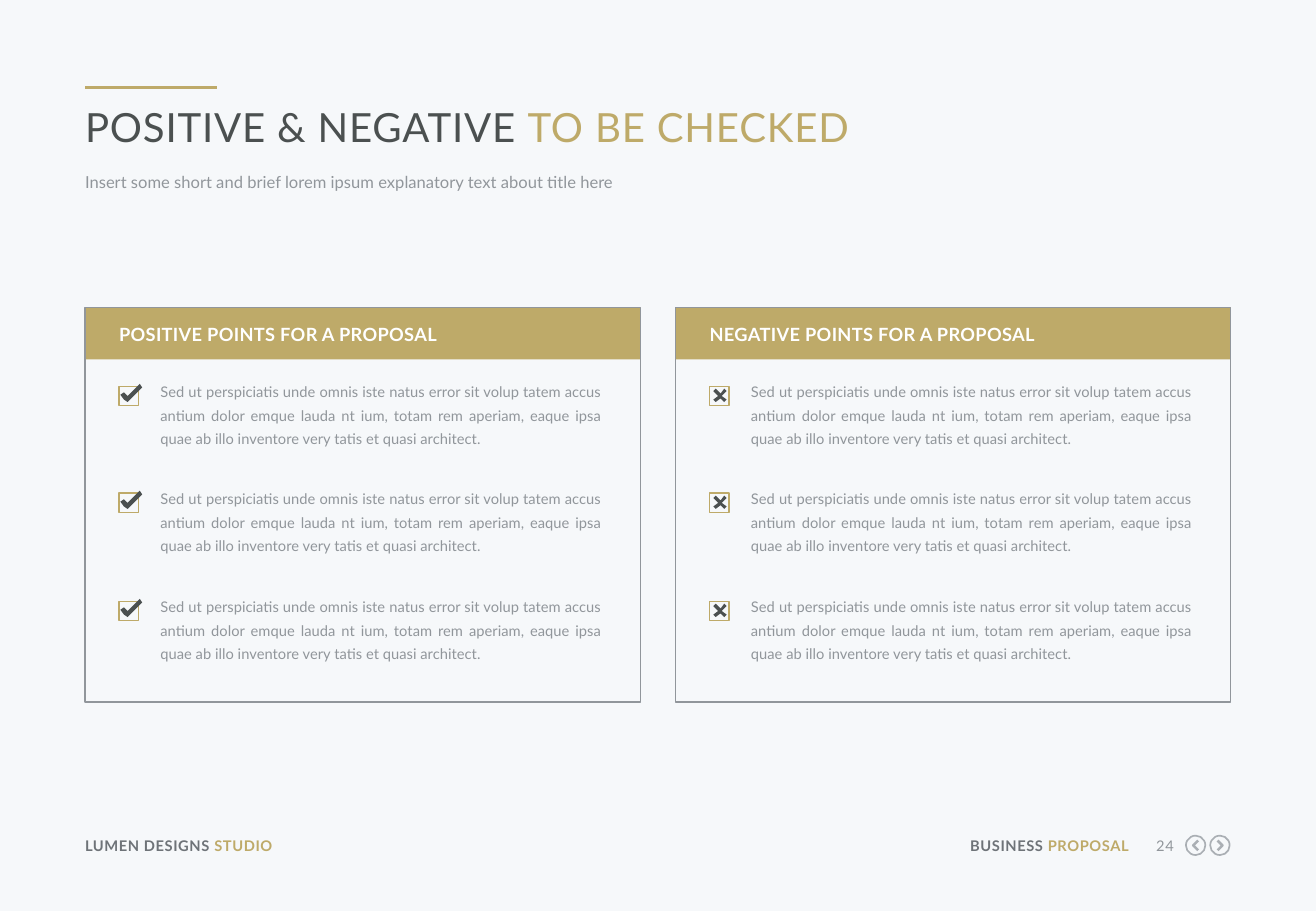
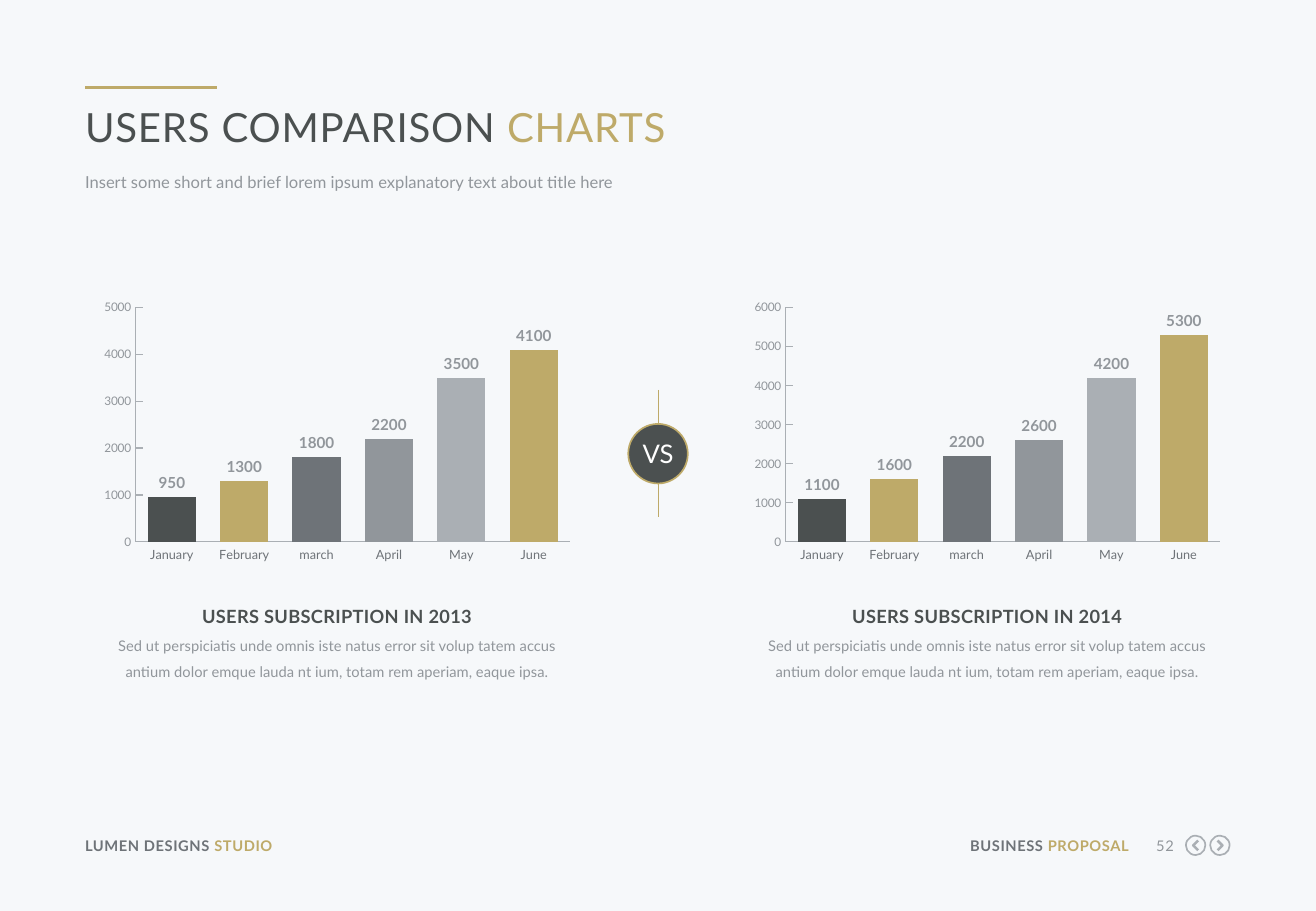
from lxml import etree
from pptx import Presentation
from pptx.chart.data import CategoryChartData
from pptx.dml.color import RGBColor
from pptx.enum.chart import XL_CHART_TYPE, XL_LABEL_POSITION, XL_TICK_MARK
from pptx.enum.shapes import MSO_CONNECTOR, MSO_SHAPE
from pptx.enum.text import MSO_ANCHOR, PP_ALIGN
from pptx.oxml.ns import qn
from pptx.util import Pt

PX = 9144
FONT = "Lato"
PAPER = RGBColor(0xF6, 0xF8, 0xFA)
WHITE = RGBColor(0xFF, 0xFF, 0xFF)
GOLD = RGBColor(0xBE, 0xAA, 0x69)
DARK = RGBColor(0x4B, 0x50, 0x50)
SLATE = RGBColor(0x6E, 0x73, 0x78)
GREY = RGBColor(0x91, 0x96, 0x9B)
SILVER = RGBColor(0xAA, 0xAF, 0xB4)

LEFT, CENTER = PP_ALIGN.LEFT, PP_ALIGN.CENTER
RIGHT, JUSTIFY = PP_ALIGN.RIGHT, PP_ALIGN.JUSTIFY
MIDDLE = MSO_ANCHOR.MIDDLE
RECT, OVAL = MSO_SHAPE.RECTANGLE, MSO_SHAPE.OVAL
STRAIGHT = MSO_CONNECTOR.STRAIGHT
COLUMNS = XL_CHART_TYPE.COLUMN_CLUSTERED
OUTSIDE_END = XL_LABEL_POSITION.OUTSIDE_END
TICK_IN, TICK_NONE = XL_TICK_MARK.INSIDE, XL_TICK_MARK.NONE

SUBTITLE = "Insert some short and brief lorem ipsum explanatory text about title here"
POINT = ("Sed ut perspiciatis unde omnis iste natus error sit volup tatem accus "
         "antium dolor emque lauda nt ium, totam rem aperiam, eaque ipsa "
         "quae ab illo inventore very tatis et quasi architect.")
CAPTION = ("Sed ut perspiciatis unde omnis iste natus error sit volup tatem accus "
           "antium dolor emque lauda nt ium, totam rem aperiam, eaque ipsa.")
CHECK = [(4, 5), (7, 8), (17, -2), (19, 1), (7, 13), (4, 11), (1, 7)]
CROSS = [(3, 11), (7, 8), (3, 4), (5, 2), (9, 6), (12, 2),
         (14, 4), (10, 8), (14, 11), (12, 13), (9, 10), (5, 13)]
MONTHS = ["January", "February", "march", "April", "May", "June"]
BAR_COLORS = [DARK, GOLD, SLATE, GREY, SILVER, GOLD]


def emu(*lengths):
    """Turn px lengths into EMU."""
    return [n * PX for n in lengths]


def style(font, size, color, bold=False):
    """Set the font of a run or a chart part."""
    font.name, font.size, font.bold = FONT, Pt(size), bold
    font.color.rgb = color


def write(tf, runs, size, align=LEFT, bold=False, spc=0, leading=None):
    """Fill a text frame with one paragraph of (text, colour) runs."""
    tf.word_wrap = True
    tf.margin_left = tf.margin_top = tf.margin_right = tf.margin_bottom = 0
    p = tf.paragraphs[0]
    p.alignment = align
    if leading:
        p.line_spacing = Pt(leading)
    for text, color in runs:
        r = p.add_run()
        r.text = text
        style(r.font, size, color, bold)
        if spc:
            r._r.get_or_add_rPr().set("spc", str(spc))


def add_text(s, box, runs, size, **options):
    """Add a text box without margins."""
    write(s.shapes.add_textbox(*emu(*box)).text_frame, runs, size, **options)


def paint(sp, fill=None, line=None, width=0.75):
    """Set the fill and outline of a shape and drop its shadow."""
    sp.shadow.inherit = False
    if fill is None:
        sp.fill.background()
    else:
        sp.fill.solid()
        sp.fill.fore_color.rgb = fill
    if line is None:
        sp.line.fill.background()
    else:
        sp.line.color.rgb = line
        sp.line.width = Pt(width)


def add_shape(s, kind, box, **look):
    """Add a painted preset shape."""
    sp = s.shapes.add_shape(kind, *emu(*box))
    paint(sp, **look)
    return sp


def add_outline(s, x, y, points, close=True, **look):
    """Add a painted freeform whose points are relative to x, y."""
    points = [(x + dx, y + dy) for dx, dy in points]
    builder = s.shapes.build_freeform(*points[0], scale=PX)
    builder.add_line_segments(points[1:], close=close)
    paint(builder.convert_to_shape(), **look)


def add_line(s, ends, width):
    """Add a straight gold line."""
    line = s.shapes.add_connector(STRAIGHT, *emu(*ends))
    line.line.color.rgb = GOLD
    line.line.width = Pt(width)
    etree.SubElement(line._element.spPr, qn("a:effectLst"))


def add_nav_button(s, x, y, chevron):
    """Draw a ringed chevron in an 18 px box."""
    add_shape(s, OVAL, (x + 1, y + 1, 16, 16), line=SILVER, width=1)
    add_outline(s, x, y, chevron, close=False, line=SILVER, width=1.5)


def add_page(prs, title, accent, number):
    """Add a slide with the shared title block and footer."""
    s = prs.slides.add_slide(prs.slide_layouts[6])
    add_line(s, (70, 72, 179, 72), 2.25)
    add_text(s, (70, 84, 942, 41), [(title, DARK), (accent, GOLD)], 23.8, spc=50)
    add_text(s, (70, 140, 942, 21), [(SUBTITLE, GREY)], 9.8, leading=13)
    footers = [
        ((70, 689, 211, 15), [("LUMEN DESIGNS ", SLATE), ("STUDIO", GOLD)], LEFT, True),
        ((792, 689, 137, 15), [("BUSINESS ", SLATE), ("PROPOSAL", GOLD)], RIGHT, True),
        ((941, 689, 25, 15), [(number, GREY)], RIGHT, False),
    ]
    for box, runs, align, bold in footers:
        add_text(s, box, runs, 8.7, align=align, bold=bold, spc=30)
    add_nav_button(s, 975, 687, [(11, 5), (7, 9), (11, 13)])
    add_nav_button(s, 995, 687, [(7, 5), (11, 9), (7, 13)])
    return s


def add_card(s, x, y, heading, mark):
    """Draw a framed list of three points marked with the given outline."""
    w = 457
    add_shape(s, RECT, (x, y, w, 43), fill=GOLD)
    add_shape(s, RECT, (x, y, w, 325), line=GREY)
    add_text(s, (x + 28, y + 12, 398, 20), [(heading, WHITE)], 10.8,
             align=JUSTIFY, bold=True, spc=20, leading=14.1)
    for i in range(3):
        top = y + 57 + 177 * i // 2
        add_shape(s, RECT, (x + 28, top + 8, 16, 16), line=GOLD)
        add_outline(s, x + 28, top + 8, mark, fill=DARK)
        add_text(s, (x + 62, top, 363, 59), [(POINT, GREY)], 8.7,
                 align=JUSTIFY, leading=14.1)


def format_axis(axis, size, color, tick):
    """Set the line, ticks and labels of a chart axis."""
    axis.has_major_gridlines = False
    axis.major_tick_mark, axis.minor_tick_mark = tick, TICK_NONE
    axis.format.line.color.rgb = SILVER
    axis.format.line.width = Pt(0.75)
    style(axis.tick_labels.font, size, color)


def add_chart(s, box, values, top):
    """Add a column chart with one colour per month."""
    data = CategoryChartData(number_format="0")
    data.categories = MONTHS
    data.add_series("Series 1", values)
    chart = s.shapes.add_chart(COLUMNS, *emu(*box), data).chart
    chart.has_legend = chart.has_title = False
    style(chart.font, 8, GREY)
    format_axis(chart.category_axis, 7.5, SLATE, TICK_NONE)
    scale = chart.value_axis
    format_axis(scale, 7, GREY, TICK_IN)
    scale.minimum_scale, scale.maximum_scale, scale.major_unit = 0, top, 1000
    plot = chart.plots[0]
    plot.gap_width = 50
    plot.vary_by_categories = False
    plot.has_data_labels = True
    labels = plot.data_labels
    labels.show_value = True
    labels.position = OUTSIDE_END
    style(labels.font, 9, GREY, bold=True)
    for i, color in enumerate(BAR_COLORS):
        fill = plot.series[0].points[i].format.fill
        fill.solid()
        fill.fore_color.rgb = color


def add_year(s, x, y, year, values, top):
    """Place one year's chart with its heading and caption."""
    add_chart(s, (x, y, 399, 224), values, top)
    add_text(s, (x + 14, y + 248, 371, 25),
             [(f"USERS SUBSCRIPTION IN {year}", DARK)], 10.8,
             align=CENTER, bold=True, spc=20, leading=18.4)
    add_text(s, (x + 14, y + 275, 371, 42), [(CAPTION, GREY)], 8.7,
             align=CENTER, leading=15.2)


def add_versus(s, x, y):
    """Draw the VS badge on its vertical line."""
    add_line(s, (x + 25, y, x + 25, y + 105), 1)
    badge = add_shape(s, OVAL, (x, y + 28, 49, 49), fill=DARK, line=GOLD, width=1)
    write(badge.text_frame, [("VS", WHITE)], 15.2, align=CENTER)
    badge.text_frame.vertical_anchor = MIDDLE


def main():
    """Build and save the two slides."""
    prs = Presentation()
    prs.slide_width, prs.slide_height = emu(1083, 750)
    bg = prs.slide_master.background.fill
    bg.solid()
    bg.fore_color.rgb = PAPER

    s = add_page(prs, "POSITIVE & NEGATIVE ", "TO BE CHECKED", "24")
    add_card(s, 70, 253, "POSITIVE POINTS FOR A PROPOSAL", CHECK)
    add_card(s, 556, 253, "NEGATIVE POINTS FOR A PROPOSAL", CROSS)

    s = add_page(prs, "USERS COMPARISON ", "CHARTS", "52")
    add_versus(s, 517, 321)
    add_year(s, 78, 243, 2013, [950, 1300, 1800, 2200, 3500, 4100], 5000)
    add_year(s, 613, 243, 2014, [1100, 1600, 2200, 2600, 4200, 5300], 6000)

    prs.save("out.pptx")


if __name__ == "__main__":
    main()
